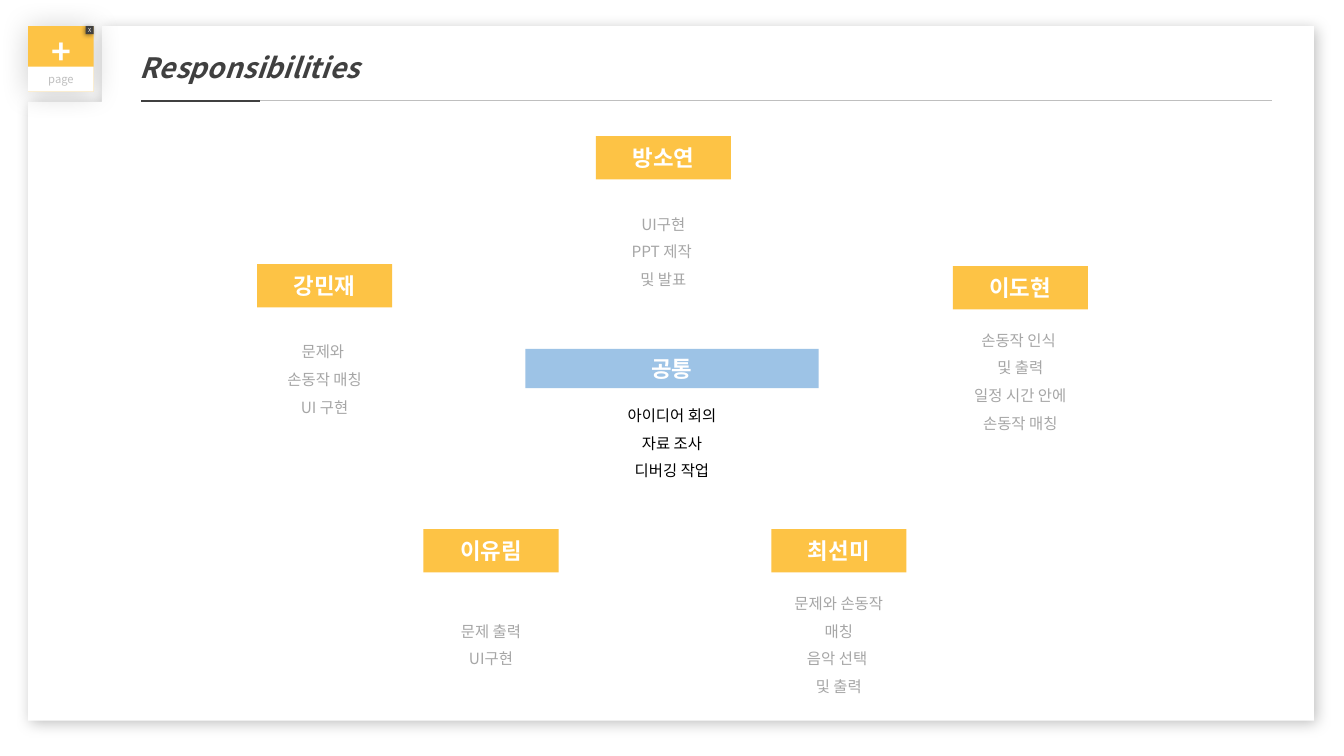
import pptx
import pptx.util
import pptx.dml.color
import pptx.enum.shapes
import pptx.enum.text
import pptx.oxml
import pptx.oxml.ns

Inches = pptx.util.Inches
Pt = pptx.util.Pt
RGBColor = pptx.dml.color.RGBColor
ALIGN = pptx.enum.text.PP_ALIGN
ANCHOR = pptx.enum.text.MSO_ANCHOR
RECT = pptx.enum.shapes.MSO_SHAPE.RECTANGLE
LINE = pptx.enum.shapes.MSO_CONNECTOR.STRAIGHT

WHITE = RGBColor(0xFF, 0xFF, 0xFF)
BLACK = RGBColor(0, 0, 0)
DARK = RGBColor(0x40, 0x40, 0x40)
SILVER = RGBColor(0xBF, 0xBF, 0xBF)
GREY = RGBColor(0xA6, 0xA6, 0xA6)
AMBER = RGBColor(0xFD, 0xC3, 0x45)
BLUE = RGBColor(0x9D, 0xC3, 0xE6)
FONT = "Noto Sans CJK KR"

TITLE = "Responsibilities"
PANEL = [(1.01, 0.26), (13.03, 0.26), (13.03, 7.15), (0.28, 7.15),
         (0.28, 1.01), (1.01, 1.01)]
RULES = [(12.62, SILVER, 0.5), (2.58, DARK, 1.25)]
MEMBERS = [
    ("최선미", 7.65, 5.25, ["문제와 손동작 매칭", "음악 선택 ", "및 출력"]),
    ("이유림", 4.2, 5.25, ["문제 출력", "UI구현"]),
    ("강민재", 2.55, 2.62, ["문제와 ", "손동작 매칭", "UI 구현"]),
    ("방소연", 5.91, 1.35, ["UI구현", "PPT 제작 ", "및 발표"]),
    ("이도현", 9.45, 2.64, ["손동작 인식 ", "및 출력", "일정 시간 안에 손동작 매칭"]),
]
SHARED = ("공통", 5.21, 3.46, ["아이디어 회의", "자료 조사", "디버깅 작업"])

deck = pptx.Presentation()
deck.slide_width = Inches(13.33)
deck.slide_height = Inches(7.5)
slide = deck.slides.add_slide(deck.slide_layouts[6])


def shade(shape, alpha, blur, dist, angle):
    shape.shadow.inherit = False
    glow = shape._element.spPr.find(pptx.oxml.ns.qn("a:effectLst"))
    glow.append(pptx.oxml.parse_xml(
        f'<a:outerShdw {pptx.oxml.ns.nsdecls("a")} blurRad="{Pt(blur)}" '
        f'dist="{Pt(dist)}" dir="{angle * 60000}" algn="ctr" rotWithShape="0">'
        f'<a:srgbClr val="000000"><a:alpha val="{alpha * 1000}"/></a:srgbClr>'
        '</a:outerShdw>'))


def paint(shape, fill):
    shape.shadow.inherit = False
    shape.fill.solid()
    shape.fill.fore_color.rgb = fill
    shape.line.fill.background()


def write(text, *, home, box, size, color, fill=None, bold=False,
          slant=False, align=ALIGN.CENTER, anchor=ANCHOR.MIDDLE,
          space=None, inset=None):
    area = [Inches(v) for v in box]
    if fill is None:
        shape = home.add_textbox(*area)
    else:
        shape = home.add_shape(RECT, *area)
        paint(shape, fill)
    frame = shape.text_frame
    frame.word_wrap = True
    frame.vertical_anchor = anchor
    if inset is not None:
        frame.margin_left = frame.margin_right = Inches(inset)
        frame.margin_top = frame.margin_bottom = Inches(inset)
    frame.text = text
    for para in frame.paragraphs:
        para.alignment = align
        if space:
            para.line_spacing = space
        for run in para.runs:
            font = run.font
            font.name, font.size = FONT, Pt(size)
            font.bold, font.italic = bold, slant
            font.color.rgb = color
            for tag in ("a:ea", "a:cs"):
                face = font._element.makeelement(pptx.oxml.ns.qn(tag), {"typeface": FONT})
                font._element.append(face)
    return shape


def card(name, left, top, tasks, *, wide=1.34, high=0.43, gap=0.16,
         deep=1.02, fill=AMBER, color=GREY):
    home = slide.shapes.add_group_shape().shapes
    write(name, home=home, box=(left, top, wide, high), size=16,
          color=WHITE, fill=fill, bold=True)
    write("\n".join(tasks), home=home, box=(left, top + high + gap, wide, deep),
          size=11, color=color, space=1.5)


dots = [(Inches(x), Inches(y)) for x, y in PANEL]
pen = slide.shapes.build_freeform(*dots[0])
pen.add_line_segments(dots[1:], close=True)
panel = pen.convert_to_shape()
paint(panel, WHITE)
shade(panel, 26, 10, 3, 45)

write(TITLE, home=slide.shapes, box=(1.29, 0.29, 6.66, 0.54), size=20,
      color=DARK, bold=True, slant=True, align=ALIGN.LEFT,
      anchor=ANCHOR.TOP, space=1.5)

for end, color, width in RULES:
    rule = slide.shapes.add_connector(LINE, Inches(1.4), Inches(1), Inches(end), Inches(1))
    rule.line.color.rgb = color
    rule.line.width = Pt(width)
    rule._element.spPr.append(pptx.oxml.parse_xml(
        f'<a:effectLst {pptx.oxml.ns.nsdecls("a")}/>'))

badge = slide.shapes.add_group_shape().shapes
plus = write("+", home=badge, box=(0.28, 0.26, 0.65, 0.65), size=24,
             color=WHITE, fill=AMBER, bold=True, anchor=ANCHOR.TOP)
shade(plus, 20, 21, 1, 90)
write("page", home=badge, box=(0.28, 0.66, 0.65, 0.25), size=8,
      color=SILVER, fill=WHITE)
cross = write("X", home=badge, box=(0.85, 0.26, 0.08, 0.08), size=4,
              color=WHITE, fill=DARK, inset=0)
shade(cross, 40, 3, 1, 135)

for member in MEMBERS:
    card(*member)
card(*SHARED, wide=2.91, high=0.39, gap=0.03, deep=0.94, fill=BLUE, color=BLACK)

deck.save("out.pptx")
